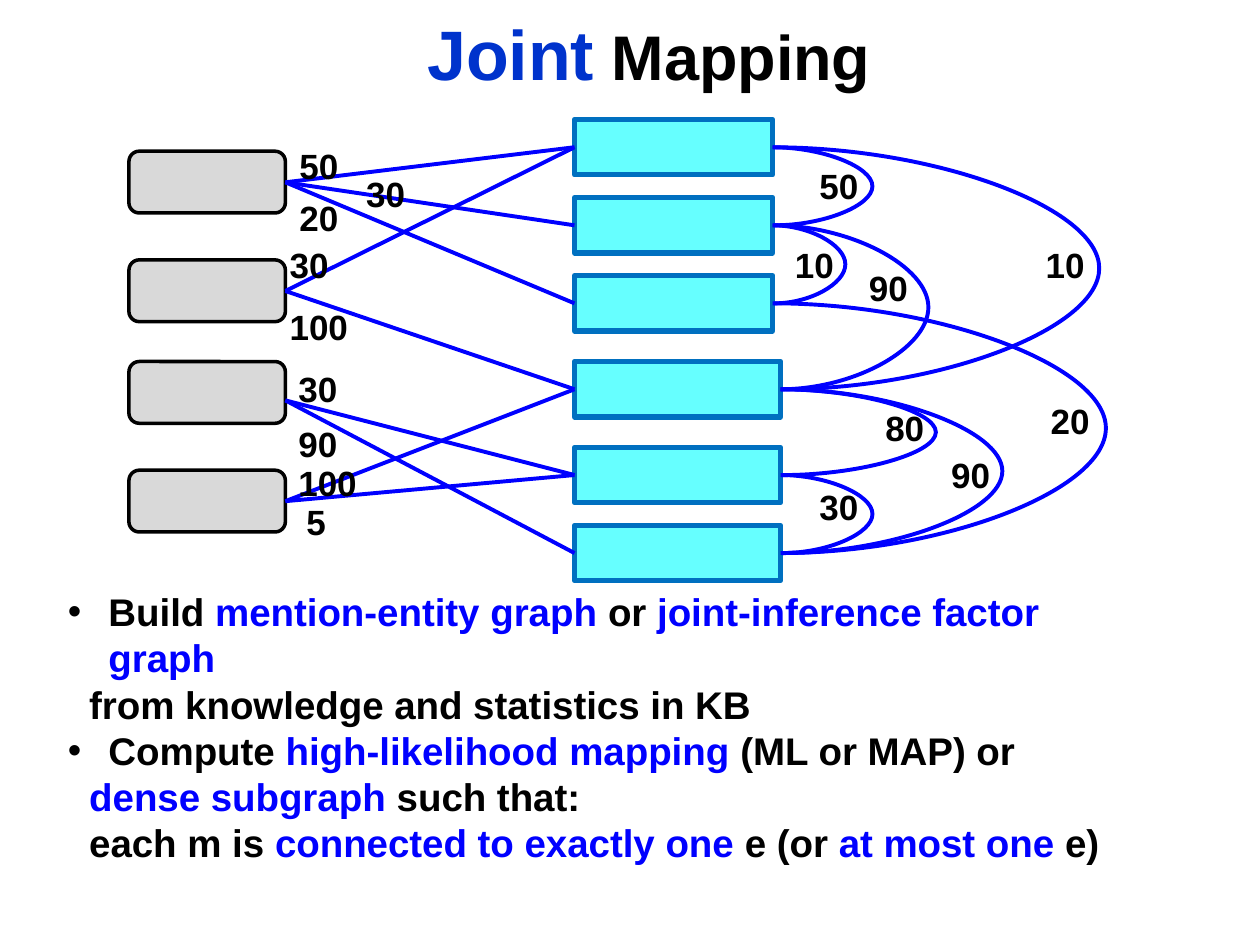
from lxml import etree
from pptx import Presentation
from pptx.dml.color import RGBColor
from pptx.enum import shapes, text
from pptx.oxml import ns
from pptx.util import Pt

COLORS = {
    "title": "0033CC", "black": "000000", "blue": "0000FF",
    "entity": "66FFFF", "entity_line": "0070C0", "mention": "D9D9D9",
}


def rgb(name):
    return RGBColor.from_string(COLORS[name])


def add_edge(kind, x1, y1, x2, y2):
    edge = slide.shapes.add_connector(kind, Pt(x1), Pt(y1), Pt(x2), Pt(y2))
    edge.line.color.rgb = rgb("blue")
    edge.line.width = Pt(2.25)
    etree.SubElement(edge._element.spPr, ns.qn("a:effectLst"))
    return edge


prs = Presentation()
prs.slide_width, prs.slide_height = Pt(720), Pt(540)
slide = prs.slides.add_slide(prs.slide_layouts[5])

# Title
title = slide.shapes.title
title.left, title.top, title.width, title.height = Pt(21.6), Pt(0), Pt(698.4), Pt(60.5)
title.text_frame.vertical_anchor = text.MSO_ANCHOR.MIDDLE
heading = title.text_frame.paragraphs[0]
heading.alignment = text.PP_ALIGN.CENTER
heading.font.name, heading.font.bold = "Arial", True
for words, size, color in [("Joint", 40, "title"), (" Mapping", 36, "black")]:
    run = heading.add_run()
    run.text = words
    run.font.size = Pt(size)
    run.font.color.rgb = rgb(color)

# Mention boxes on the left, entity boxes in the middle
mention_left, mention_width, mention_height = 73.7, 89.4, 35.3
mention_tops = [86.4, 148.5, 206.6, 268.7]
mention_ports = [104.2, 166.3, 228.8, 286.4]
entity_left, entity_height = 328.3, 31.7
entity_tops = [68.3, 112.9, 157.5, 206.6, 255.6, 300.2]
entity_widths = [113.2] * 3 + [117.8] * 3
entity_ports = [top + entity_height / 2 for top in entity_tops]

boxes = [(shapes.MSO_SHAPE.RECTANGLE, entity_left, top, width, entity_height,
          "entity", "entity_line", 3) for top, width in zip(entity_tops, entity_widths)]
boxes += [(shapes.MSO_SHAPE.ROUNDED_RECTANGLE, mention_left, top, mention_width,
           mention_height, "mention", "black", 2) for top in mention_tops]
for preset, left, top, width, height, fill, outline, weight in boxes:
    node = slide.shapes.add_shape(preset, Pt(left), Pt(top), Pt(width), Pt(height))
    node.shadow.inherit = False
    node.fill.solid()
    node.fill.fore_color.rgb = rgb(fill)
    node.line.color.rgb = rgb(outline)
    node.line.width = Pt(weight)

# Mention-entity edges
for mention, entity in [(0, 0), (0, 1), (0, 2), (1, 0), (1, 3),
                        (2, 4), (2, 5), (3, 3), (3, 4)]:
    add_edge(shapes.MSO_CONNECTOR.STRAIGHT, mention_left + mention_width,
             mention_ports[mention], entity_left, entity_ports[entity])

# Entity-entity arcs: first entity, second entity, x of the outermost point
for first, second, apex in [(0, 1, 499), (1, 2, 483.4), (1, 3, 530.7), (4, 5, 499),
                            (3, 4, 535.5), (3, 5, 573.8), (0, 3, 628.5), (2, 5, 632.3)]:
    start = entity_left + entity_widths[first]
    span = max(entity_widths[second] - entity_widths[first], 1)
    arc = add_edge(shapes.MSO_CONNECTOR.CURVE, start, entity_ports[first],
                   start + span, entity_ports[second])
    geometry = arc._element.spPr.find(ns.qn("a:prstGeom"))
    guides = geometry.get_or_add_avLst()
    bend = round((apex - start) / span * 100000)
    etree.SubElement(guides, ns.qn("a:gd"), name="adj1", fmla=f"val {bend}")

# Edge weights
for weight, left, top in [
    ("50", 164, 79.2), ("30", 202.1, 95), ("20", 164, 108.7),
    ("30", 158.4, 135.4), ("100", 158.4, 170.9),
    ("30", 163.4, 206.6), ("90", 163.4, 237.8), ("100", 163.4, 260), ("5", 168, 282.2),
    ("50", 461.1, 90.7), ("10", 447.1, 135.4), ("90", 489.4, 148.6), ("10", 590.4, 135.4),
    ("80", 498.8, 229), ("20", 593.3, 224.7), ("90", 536.4, 255.6), ("30", 461.1, 273.6),
]:
    label = slide.shapes.add_textbox(Pt(left), Pt(top),
                                     Pt(14.6 + 11.12 * len(weight)), Pt(31.5))
    label.text_frame.word_wrap = False
    number = label.text_frame.paragraphs[0]
    number.text = weight
    number.line_spacing = Pt(24)
    number.font.name, number.font.size, number.font.bold = "Arial", Pt(20), True
    number.font.color.rgb = rgb("black")

# Explanation: bulleted or plain lines, each made of (words, color)
explanation = [
    (True, [("Build ", "black"), ("mention-entity graph ", "blue"), ("or", "black"),
            (" joint-inference factor graph", "blue")]),
    (False, [("from knowledge and statistics in KB", "black")]),
    (True, [("Compute ", "black"), ("high-likelihood mapping ", "blue"),
            ("(ML or MAP) or", "black")]),
    (False, [("dense subgraph ", "blue"), ("such that:", "black")]),
    (False, [("each m is ", "black"), ("connected to exactly one ", "blue"),
             ("e (or ", "black"), ("at most one ", "blue"), ("e)", "black")]),
]
body = slide.shapes.add_textbox(Pt(31.7), Pt(332.6), Pt(630), Pt(140.4)).text_frame
body.word_wrap = True
for index, (bulleted, parts) in enumerate(explanation):
    line = body.add_paragraph() if index else body.paragraphs[0]
    properties = line._p.get_or_add_pPr()
    properties.set("marL", str(Pt(23.2 if bulleted else 12.2)))
    properties.set("indent", str(Pt(-23.2 if bulleted else 0)))
    if bulleted:
        etree.SubElement(properties, ns.qn("a:buFont"), typeface="Arial")
        etree.SubElement(properties, ns.qn("a:buChar"), char="•")
    line.line_spacing = Pt(26.4)
    line.font.name, line.font.size, line.font.bold = "Arial", Pt(22), True
    for words, color in parts:
        run = line.add_run()
        run.text = words
        run.font.color.rgb = rgb(color)

prs.save("out.pptx")
